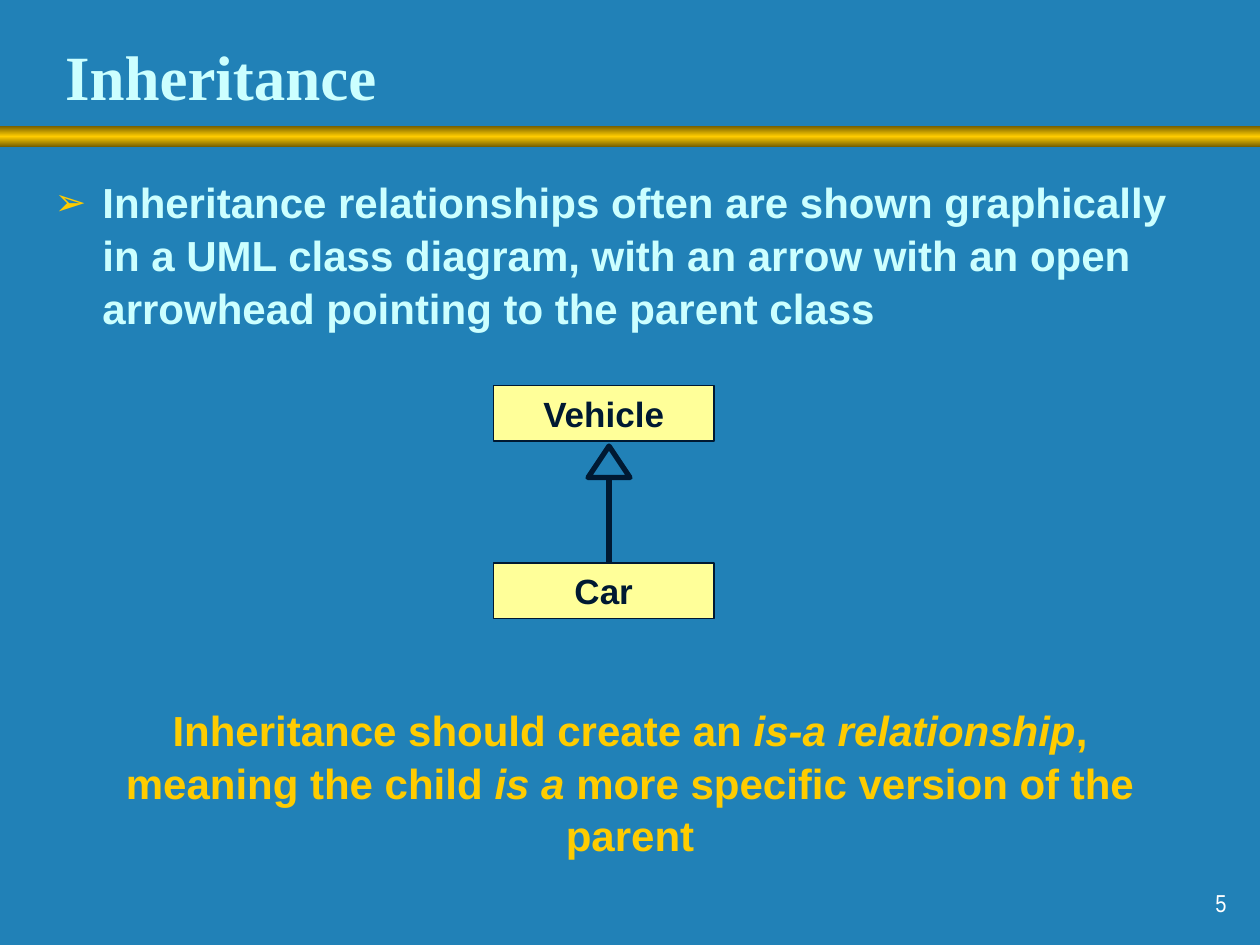
from dataclasses import dataclass
from lxml.etree import SubElement
from pptx import Presentation
from pptx.dml.color import RGBColor as RGB
from pptx.enum.shapes import MSO_CONNECTOR as CONN, MSO_SHAPE as SHAPE
from pptx.enum.text import MSO_ANCHOR as ANCHOR, MSO_AUTO_SIZE as FIT, PP_ALIGN as ALIGN
from pptx.oxml import parse_xml
from pptx.oxml.ns import nsdecls, qn
from pptx.util import Inches, Pt


@dataclass(frozen=True)
class Theme:
    back: str = "2181B7"
    pale: str = "CCFFFF"
    gold: str = "FFCC00"
    bronze: str = "755E00"
    ink: str = "001932"
    cream: str = "FFFF99"
    white: str = "FFFFFF"
    serif: str = "Times New Roman"
    sans: str = "Arial"
    narrow: str = "Arial Narrow"
    title: int = 36
    body: int = 24
    label: int = 20
    number: int = 14
    spacing: float = 1.05


@dataclass(frozen=True)
class Box:
    x: float
    y: float
    w: float
    h: float

    def inner(self, x, y, w, h):
        return Box(self.x + x, self.y + y, w, h)

    def emu(self):
        return [cells(v) for v in (self.x, self.y, self.w, self.h)]


THEME = Theme()
COLS, ROWS = 120, 90


def cells(n):
    return Inches(n / 12)


def color(name):
    return RGB.from_string(name)


def place(s, box):
    s.left, s.top, s.width, s.height = box.emu()


def write(s, runs, size, name, font=THEME.sans, bold=True, align=ALIGN.LEFT,
          anchor=ANCHOR.TOP, spacing=1.0):
    tf = s.text_frame
    tf.word_wrap, tf.auto_size, tf.vertical_anchor = True, FIT.NONE, anchor
    p = tf.paragraphs[0]
    p.alignment, p.line_spacing, p.space_before = align, spacing, Pt(0)
    for text, italic in runs:
        r = p.add_run()
        r.text = text
        f = r.font
        f.name, f.size, f.bold, f.italic = font, Pt(size), bold, italic
        f.color.rgb = color(name)
    return p


def add_bar(slide, box):
    s = slide.shapes.add_shape(SHAPE.RECTANGLE, *box.emu())
    s.shadow.inherit = False
    s.line.fill.background()
    s.fill.gradient()
    s.fill.gradient_angle = 270
    stops = s.element.spPr.find(qn("a:gradFill")).find(qn("a:gsLst"))
    stops.clear()
    for pos, name in ((0, THEME.bronze), (50, THEME.gold), (100, THEME.bronze)):
        stop = SubElement(stops, qn("a:gs"), pos=str(pos * 1000))
        SubElement(stop, qn("a:srgbClr"), val=name)


def add_title(slide, box):
    s = slide.shapes.title
    place(s, box)
    write(s, [("Inheritance", False)], THEME.title, THEME.pale, THEME.serif,
          anchor=ANCHOR.MIDDLE)


def add_body(slide, box):
    s = slide.placeholders[1]
    place(s, box)
    p = write(s, [("Inheritance relationships often are shown graphically in a UML class "
                   "diagram, with an arrow with an open arrowhead pointing to the parent class",
                   False)], THEME.body, THEME.pale, spacing=THEME.spacing)
    pPr = p._p.get_or_add_pPr()
    indent = Inches(0.38)
    pPr.set("marL", str(indent))
    pPr.set("indent", str(-indent))
    for xml in (f'<a:buClr {nsdecls("a")}><a:srgbClr val="{THEME.gold}"/></a:buClr>',
                f'<a:buSzPct {nsdecls("a")} val="90000"/>',
                f'<a:buChar {nsdecls("a")} char="➢"/>'):
        pPr.append(parse_xml(xml))


def add_class(group, box, name):
    s = group.shapes.add_shape(SHAPE.RECTANGLE, *box.emu())
    s.shadow.inherit = False
    s.fill.solid()
    s.fill.fore_color.rgb = color(THEME.cream)
    s.line.color.rgb = color(THEME.ink)
    s.line.width = Pt(1)
    write(s, [(name, False)], THEME.label, THEME.ink, align=ALIGN.CENTER,
          anchor=ANCHOR.MIDDLE)


def add_arrow(group, box):
    head = 3
    mid = cells(box.x + box.w / 2)
    shaft = group.shapes.add_connector(CONN.STRAIGHT, mid, cells(box.y + box.h),
                                       mid, cells(box.y + head))
    SubElement(shaft.element.spPr, qn("a:effectLst"))
    tip = group.shapes.add_shape(SHAPE.ISOSCELES_TRIANGLE,
                                 *box.inner(0, 0, box.w, head).emu())
    tip.shadow.inherit = False
    tip.fill.background()
    for s in (shaft, tip):
        s.line.color.rgb = color(THEME.ink)
        s.line.width = Pt(3)


def add_diagram(slide, box):
    group = slide.shapes.add_group_shape()
    tall = 5.28
    add_arrow(group, box.inner(9, 5.76, 4, 11.04))
    add_class(group, box.inner(0, 0, box.w, tall), "Vehicle")
    add_class(group, box.inner(0, box.h - tall, box.w, tall), "Car")


def add_callout(slide, box):
    s = slide.shapes.add_textbox(*box.emu())
    write(s, [("Inheritance should create an ", False), ("is-a relationship", True),
              (", meaning the child ", False), ("is a", True),
              (" more specific version of the parent", False)],
          THEME.body, THEME.gold, align=ALIGN.CENTER, spacing=THEME.spacing)


def add_number(slide, box):
    s = slide.shapes.add_textbox(*box.emu())
    write(s, [("5", False)], THEME.number, THEME.white, THEME.narrow, bold=False,
          align=ALIGN.RIGHT, anchor=ANCHOR.BOTTOM)


def main():
    prs = Presentation()
    prs.slide_width, prs.slide_height = cells(COLS), cells(ROWS)
    slide = prs.slides.add_slide(prs.slide_layouts[1])
    slide.background.fill.solid()
    slide.background.fill.fore_color.rgb = color(THEME.back)
    add_bar(slide, Box(0, 12, COLS, 2))
    add_title(slide, Box(5, 2.64, 102.6, 9))
    add_body(slide, Box(4, 16, 112, 64.3))
    add_callout(slide, Box(8, 66.24, 104, 15.6))
    add_diagram(slide, Box(47, 36.72, 21, 22.2))
    add_number(slide, Box(93, 82, 25, 6))
    prs.save("out.pptx")


if __name__ == "__main__":
    main()
